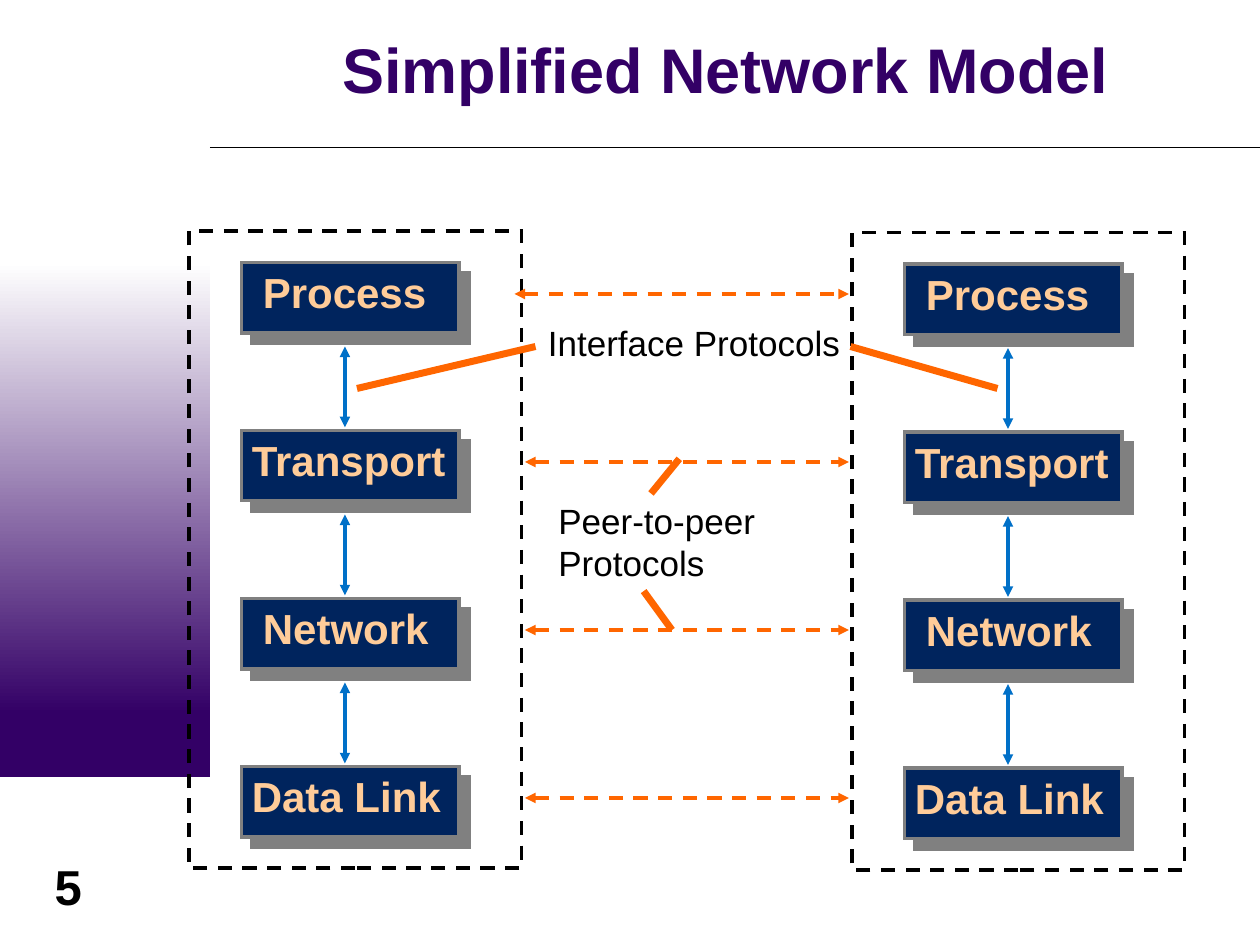
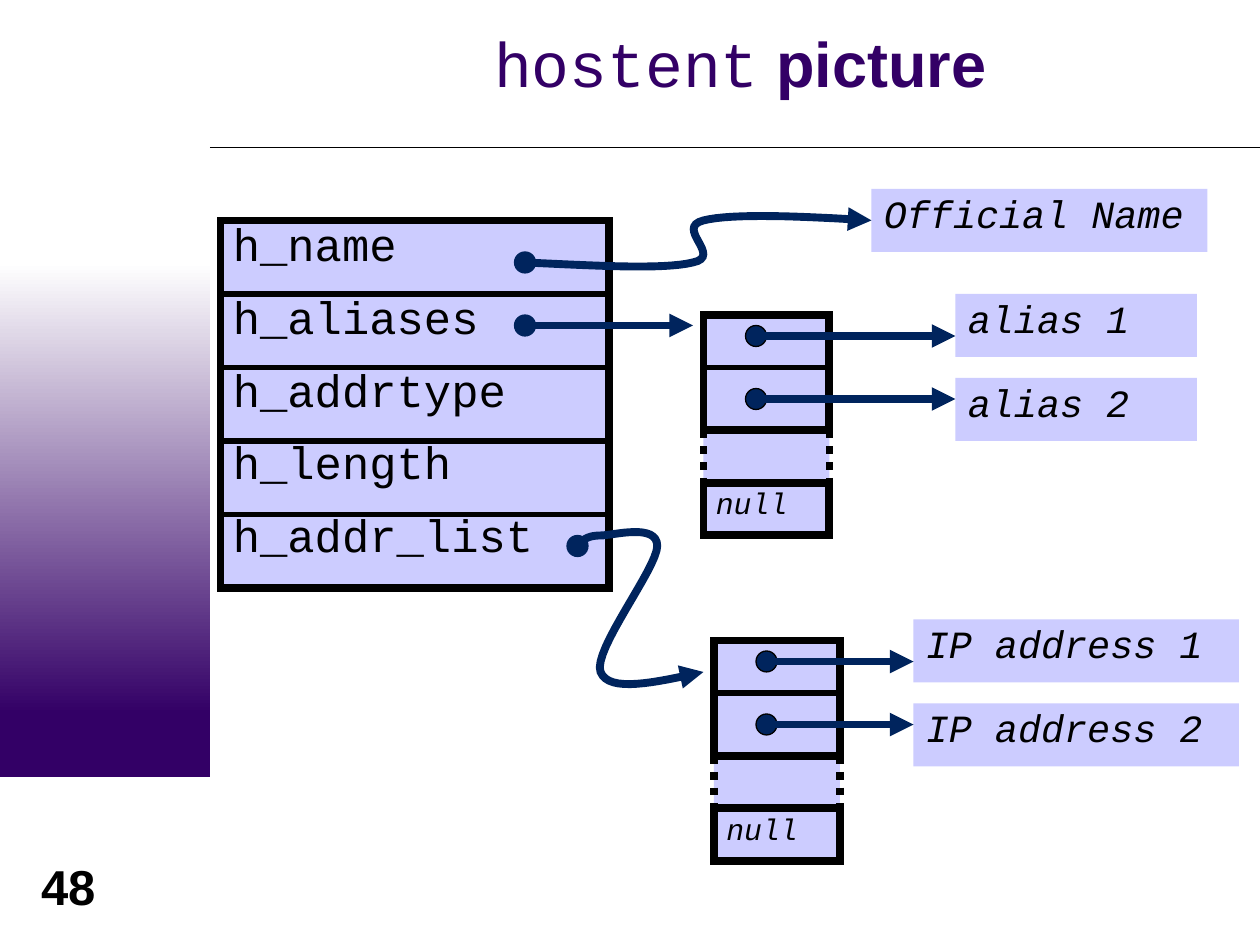
from lxml import etree
from pptx import Presentation
from pptx.dml.color import RGBColor
from pptx.enum.dml import MSO_LINE as DASH
from pptx.enum.shapes import MSO_CONNECTOR, MSO_SHAPE as SHAPE
from pptx.enum.text import MSO_ANCHOR as ANCHOR, PP_ALIGN as ALIGN
from pptx.oxml.ns import qn
from pptx.util import Inches, Pt

# Shared look
PURPLE, NAVY, LILAC, BLACK = "330066", "00245D", "CCCCFF", "000000"
ORANGE, BLUE, GREY, PEACH, WHITE = "FF6600", "0070C8", "808080", "FFCC99", "FFFFFF"
SANS, MONO = "Arial", "Courier New"

# Every length is in grid cells: 120 columns by 90 rows on a 10 x 7.5 inch slide
COLS, ROWS = 120, 90
CELL = Inches(10) // COLS


def grid(*cells):
    return [round(c * CELL) for c in cells]


def rgb(color):
    return RGBColor.from_string(color)


# Element helpers
def style_line(sp, color, width, dash=None, ends=()):
    line = sp.line
    line.color.rgb = rgb(color)
    line.width = Pt(width)
    if dash:
        line.dash_style = dash
    ln = sp._element.spPr.find(qn("a:ln"))
    etree.SubElement(ln, qn("a:miter"), lim="800000")
    for end in ends:
        etree.SubElement(ln, qn(f"a:{end}"), type="triangle")


def add_box(s, x, y, w, h, fill=None, line=None, width=0.75, dash=None, kind=SHAPE.RECTANGLE):
    sp = s.shapes.add_shape(kind, *grid(x, y, w, h))
    sp.shadow.inherit = False
    if fill:
        sp.fill.solid()
        sp.fill.fore_color.rgb = rgb(fill)
    else:
        sp.fill.background()
    if line:
        style_line(sp, line, width, dash)
    else:
        sp.line.fill.background()
    return sp


def add_line(s, x1, y1, x2, y2, color, width, dash=None, ends=()):
    cn = s.shapes.add_connector(MSO_CONNECTOR.STRAIGHT, *grid(x1, y1, x2, y2))
    style_line(cn, color, width, dash, ends)
    etree.SubElement(cn._element.spPr, qn("a:effectLst"))


def format_run(r, size, color=BLACK, font=SANS, bold=False, italic=False):
    f = r.font
    f.size, f.name, f.bold, f.italic = Pt(size), font, bold, italic
    f.color.rgb = rgb(color)


def write(sp, text, size, spacing=None, gap=None, anchor=ANCHOR.TOP, align=ALIGN.LEFT, **look):
    tf = sp.text_frame
    tf.text = text
    tf.word_wrap = True
    tf.vertical_anchor = anchor
    for p in tf.paragraphs:
        p.alignment = align
        if spacing:
            p.line_spacing = spacing
        if gap:
            p.space_before = p.space_after = Pt(gap)
        for r in p.runs:
            format_run(r, size, **look)
    return tf


def add_text(s, x, y, w, h, text, size, **look):
    tb = s.shapes.add_textbox(*grid(x, y, w, h))
    return write(tb, text, size, **look)


def drop_shadow(sp):
    effects = sp._element.spPr.find(qn("a:effectLst"))
    shadow = etree.SubElement(effects, qn("a:outerShdw"), dist=str(Pt(8.5)),
                              dir=str(45 * 60000), algn="ctr", rotWithShape="0")
    etree.SubElement(shadow, qn("a:srgbClr"), val=GREY)


def bezier(p0, p1, p2, p3, steps=16):
    for i in range(1, steps + 1):
        t = i / steps
        k = 1 - t
        yield [k**3 * a + 3 * k * k * t * b + 3 * k * t * t * c + t**3 * d
               for a, b, c, d in zip(p0, p1, p2, p3)]


def add_curve(s, *knots):
    """Curved arrow: a start point, then two controls and an end per segment."""
    points = [pt for i in range(0, len(knots) - 1, 3) for pt in bezier(*knots[i:i + 4])]
    fb = s.shapes.build_freeform(*grid(*knots[0]))
    fb.add_line_segments([grid(*pt) for pt in points], close=False)
    sp = fb.convert_to_shape()
    sp.shadow.inherit = False
    sp.fill.background()
    style_line(sp, NAVY, 4.5, ends=["tailEnd"])


# Parts shared by both slides
def add_slide(prs, number):
    s = prs.slides.add_slide(prs.slide_layouts[6])
    add_box(s, 0, 66, 20, 8, PURPLE)
    band = add_box(s, 0, 25, 20, 43, PURPLE)
    band.fill.gradient()
    band.fill.gradient_angle = 270
    for stop, color, pos in zip(band.fill.gradient_stops, (WHITE, PURPLE), (0, 1)):
        stop.color.rgb = rgb(color)
        stop.position = pos
    add_line(s, 20, 14.04, COLS, 14.04, BLACK, 0.75)
    add_text(s, 2, 81, 9, 6.8, str(number), 28, align=ALIGN.CENTER, bold=True)
    return s


def add_title(s, x, y, w, h, text):
    return add_text(s, x, y, w, h, text, 36, spacing=0.85, anchor=ANCHOR.MIDDLE,
                    align=ALIGN.CENTER, color=PURPLE, bold=True)


# Network model slide
LAYER_STEP = 16
LAYERS = [("Process", 23.85), ("Transport", 22.8), ("Network", 23.85), ("Data Link", 22.8)]
BOTH_ENDS = ("headEnd", "tailEnd")


def add_stack(s, dx, dy):
    for i, (name, text_x) in enumerate(LAYERS):
        y = dy + i * LAYER_STEP
        drop_shadow(add_box(s, dx + 23, y + 25, 20.7, 6.7, NAVY, GREY, 2))
        add_text(s, dx + text_x, y + 24.8, 22, 6, name, 24, color=PEACH, bold=True)
    add_box(s, dx + 18, dy + 22, 31.65, 60.7, line=BLACK, width=2, dash=DASH.DASH)
    for i in range(len(LAYERS) - 1):
        y = dy + 33 + i * LAYER_STEP
        add_line(s, dx + 32.85, y, dx + 32.85, y + 7.7, BLUE, 2, ends=BOTH_ENDS)


def network_model(prs):
    s = add_slide(prs, 5)
    add_title(s, 21.6, 1.3, 95, 11.5, "Simplified Network Model")
    add_stack(s, 0, 0)
    for i, start in enumerate((49, 50, 50, 50)):
        y = 28 + i * LAYER_STEP
        add_line(s, start, y, 80.85, y, ORANGE, 2, DASH.DASH, BOTH_ENDS)
    add_stack(s, 63.15, 0.15)
    add_text(s, 51, 30, 32, 5.2, "Interface Protocols", 20)
    add_text(s, 52, 47, 24, 9.1, "Peer-to-peer\nProtocols", 20)
    for pointer in ((51, 33, 34, 37), (62, 47, 64.7, 43.7),
                    (61.3, 56.3, 64, 60), (81, 33, 95, 37)):
        add_line(s, *pointer, ORANGE, 4)


# hostent slide
FIELDS = ["h_name", "h_aliases", "h_addrtype", "h_length", "h_addr_list"]
FIELD_H = 7


def add_dot(s, x, y, line=NAVY):
    add_box(s, x, y, 2, 2, NAVY, line, kind=SHAPE.OVAL)


def add_arrow(s, x1, x2, y):
    add_line(s, x1, y, x2, y, NAVY, 4.5, ends=["tailEnd"])


def add_label(s, x, y, w, text):
    write(add_box(s, x, y, w, 6, LILAC), text, 22, spacing=0.9, gap=6.9,
          font=MONO, italic=True)


def add_pointer_list(s, x, y, label_x, label_w, label_y, labels):
    right = x + 12
    add_box(s, x, y + 11, 12, 5, LILAC)
    add_box(s, x, y, 12, 11, LILAC, BLACK, 4.5)
    for row in (5, 11):
        add_line(s, x, y + row, right, y + row, BLACK, 3)
    null = add_box(s, x, y + 16, 12, 5, LILAC, BLACK, 4.5)
    write(null, "null", 17, spacing=0.9, gap=5.2, font=MONO, italic=True)
    for side in (x, right):
        add_line(s, side, y + 11, side, y + 17, BLACK, 4.5, DASH.ROUND_DOT)
    for i, label in enumerate(labels):
        row = y + 1 + 6 * i
        add_label(s, label_x, label_y + 8 * i, label_w, label)
        add_dot(s, x + 4, row, BLACK)
        add_arrow(s, x + 5, label_x, row + 1)


def hostent_picture(prs):
    s = add_slide(prs, 48)
    tf = add_title(s, 21, 0, 99, 13, "hostent")
    tf.margin_top = tf.margin_bottom = 0
    p = tf.paragraphs[0]
    format_run(p.runs[0], 36, PURPLE, MONO)
    r = p.add_run()
    r.text = " picture"
    format_run(r, 36, PURPLE, bold=True)

    # The structure and its fields
    struct = add_box(s, 21, 21, 37, FIELD_H * len(FIELDS), LILAC, BLACK, 4.5)
    write(struct, "\n".join(FIELDS), 26, spacing=0.8, gap=8.3, font=MONO)
    for i in range(1, len(FIELDS)):
        y = 21 + i * FIELD_H
        add_line(s, 21, y, 58, y, BLACK, 3)

    # What the fields point to
    add_label(s, 83, 18, 32, "Official Name")
    add_pointer_list(s, 67, 30, 91, 23, 28, ["alias 1", "alias 2"])
    add_pointer_list(s, 68, 61, 87, 31, 59, ["IP address 1", "IP address 2"])
    for x, y in ((49, 24), (49, 30), (54, 51)):
        add_dot(s, x, y)
    add_arrow(s, 50, 66, 31)
    add_curve(s, (50, 25), (56.6, 25.3), (63.1, 25.7), (66, 25),
              (68.9, 24.4), (64.2, 21.7), (67, 21),
              (69.8, 20.3), (76.4, 20.6), (83, 21))
    add_curve(s, (55, 52), (55.4, 51.5), (55.9, 51), (57.2, 51),
              (58.4, 51), (62.6, 49.8), (62.6, 52),
              (62.6, 54.1), (56.4, 62), (57.2, 64),
              (58, 66), (62.4, 65), (67, 64))


def main():
    prs = Presentation()
    prs.slide_width, prs.slide_height = grid(COLS, ROWS)
    network_model(prs)
    hostent_picture(prs)
    prs.save("out.pptx")


if __name__ == "__main__":
    main()
